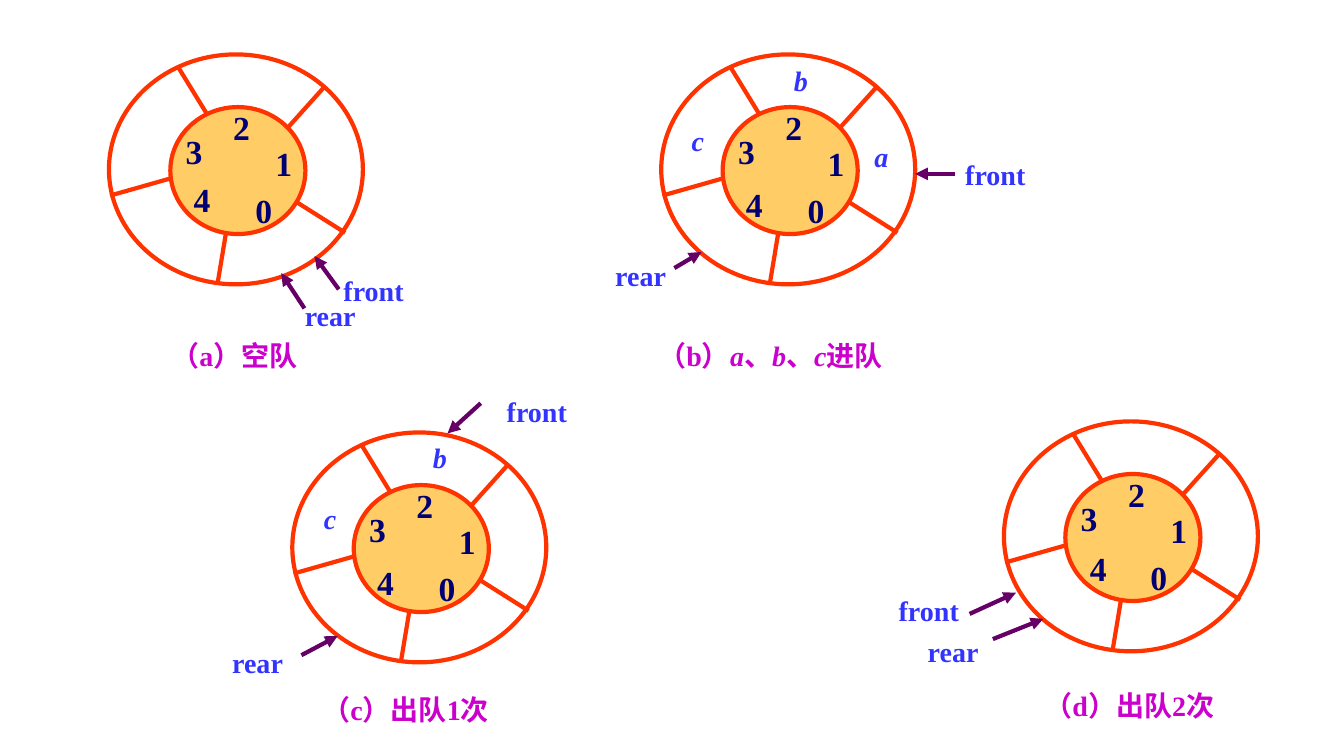
from pptx import Presentation
from pptx.dml.color import RGBColor
from pptx.enum.shapes import MSO_CONNECTOR, MSO_SHAPE
from pptx.enum.text import PP_ALIGN
from pptx.oxml.ns import qn
from pptx.util import Pt
from lxml import etree

LINE = MSO_CONNECTOR.STRAIGHT
OVAL = MSO_SHAPE.OVAL
CENTER = PP_ALIGN.CENTER

RED = RGBColor(0xFF, 0x33, 0x00)
GOLD = RGBColor(0xFF, 0xCC, 0x66)
NAVY = RGBColor(0x00, 0x00, 0x74)
BLUE = RGBColor(0x33, 0x33, 0xFF)
PLUM = RGBColor(0x66, 0x00, 0x66)
PINK = RGBColor(0xCC, 0x00, 0xCC)

# Sizes and places below are in points, from the top left of a ring
RING = (181.4, 164.2)
HUB = (43.9, 37.6, 96.5, 90.7)
SPOKES = [
    (134.6, 105.8, 168.8, 127.4),
    (128.2, 51.8, 154.1, 23),
    (49.7, 9.4, 70.4, 43.2),
    (83.5, 128.2, 77.8, 162.5),
    (0.9, 100.8, 43.9, 88.6),
]
DIGITS = [(99.4, 96.5), (113.8, 63.4), (83.5, 37.6), (49.7, 54.7)]
CELL = 22.3
WORD = 56.9

# Each mark: word, its left and top, arrow from x, y to x, y, joined side
PANELS = [
    {"at": (77.8, 38.9), "four": (55.4, 88.6), "items": [],
     "marks": [("front", 160.6, 156.2, (164.2, 167.8, 146.9, 144), None),
               ("rear", 129.6, 174.2, (139.7, 181.4, 123.1, 156.2), None)],
     "title": ["（a）空队"], "under": (21.6, 199.4, 136.1)},
    {"at": (472.3, 38.9), "four": (55.4, 92.2),
     "items": [("a", 146.2, 60.5), ("b", 88.6, 6.5), ("c", 15.1, 49)],
     "marks": [("front", 210.2, 73.4, (210.2, 85.3, 181.4, 85.3), 1),
               ("rear", -43.2, 145.4, (9.4, 152.6, 28.8, 141.1), None)],
     "title": ["（b）", "a", "、", "b", "、", "c", "进队"],
     "under": (-46.8, 199.4, 249.8)},
    {"at": (208.8, 308.9), "four": (55.4, 92.2),
     "items": [("b", 94.3, 5.8), ("c", 15.8, 49)],
     "marks": [("front", 146.2, -27.4, (134.6, -20.9, 110.9, 0.7), None),
               ("rear", -53.3, 151.9, (6.5, 159.1, 32.4, 145.4), None)],
     "title": ["（c）出队1次"], "under": (-43.9, 182.2, 249.8)},
    {"at": (717.1, 301), "four": (56.2, 90.7), "items": [],
     "marks": [("front", -82.1, 123.1, (-24.5, 137.5, 8.6, 122.4), None),
               ("rear", -64.8, 151.9, (-7.9, 155.5, 28.1, 141.1), None)],
     "title": ["（d）出队2次"], "under": (-35.3, 187.2, 249.8)},
]


def add_oval(shapes, x, y, w, h, fill=None):
    oval = shapes.add_shape(OVAL, Pt(x), Pt(y), Pt(w), Pt(h))
    oval.shadow.inherit = False
    if fill is None:
        oval.fill.background()
    else:
        oval.fill.solid()
        oval.fill.fore_color.rgb = fill
    oval.line.color.rgb = RED
    oval.line.width = Pt(3)


def add_line(shapes, x, y, ends, color, arrow=False):
    x1, y1, x2, y2 = ends
    line = shapes.add_connector(LINE, Pt(x + x1), Pt(y + y1), Pt(x + x2), Pt(y + y2))
    line.line.color.rgb = color
    line.line.width = Pt(3)
    if arrow:
        etree.SubElement(line.line._get_or_add_ln(), qn("a:tailEnd"), type="triangle")
    etree.SubElement(line._element.spPr, qn("a:effectLst"))
    return line


def add_text(shapes, parts, x, y, w, h, size, color, inset=(0, 0)):
    box = shapes.add_textbox(Pt(x), Pt(y), Pt(w), Pt(h))
    frame = box.text_frame
    frame.word_wrap = True
    frame.margin_left = frame.margin_right = Pt(inset[0])
    frame.margin_top = frame.margin_bottom = Pt(inset[1])
    para = frame.paragraphs[0]
    para.alignment = CENTER
    for part in parts:
        run = para.add_run()
        run.text = part
        run.font.name = "Times New Roman"
        run.font.size = Pt(size)
        run.font.bold = True
        run.font.italic = part in ("a", "b", "c")
        run.font.color.rgb = color
    return box


def draw_ring(shapes, x, y, four):
    # Hub, rim and spokes
    hx, hy, w, h = HUB
    add_oval(shapes, x + hx, y + hy, w, h, GOLD)
    add_oval(shapes, x, y, *RING)
    for spoke in SPOKES:
        add_line(shapes, x, y, spoke, RED)
    # Slot numbers
    for slot, (dx, dy) in enumerate(DIGITS + [four]):
        add_text(shapes, [str(slot)], x + dx, y + dy, CELL, 28.8, 24, NAVY)


def draw_panel(slide, panel):
    shapes = slide.shapes.add_group_shape().shapes
    x, y = panel["at"]
    draw_ring(shapes, x, y, panel["four"])
    # Queued items
    for name, dx, dy in panel["items"]:
        add_text(shapes, [name], x + dx, y + dy, CELL, 23.8, 20, BLUE)
    # Front and rear pointers
    for word, dx, dy, ends, side in panel["marks"]:
        label = add_text(shapes, [word], x + dx, y + dy, WORD, 23.8, 20, BLUE)
        arrow = add_line(shapes, x, y, ends, PLUM, arrow=True)
        if side is not None:
            arrow.begin_connect(label, side)
    # Caption
    dx, dy, w = panel["under"]
    add_text(shapes, panel["title"], x + dx, y + dy, w, 31.7, 20, PINK, (7.2, 3.6))


def main():
    deck = Presentation()
    deck.slide_width, deck.slide_height = Pt(960), Pt(540)
    slide = deck.slides.add_slide(deck.slide_layouts[6])
    for panel in PANELS:
        draw_panel(slide, panel)
    deck.save("out.pptx")


if __name__ == "__main__":
    main()
